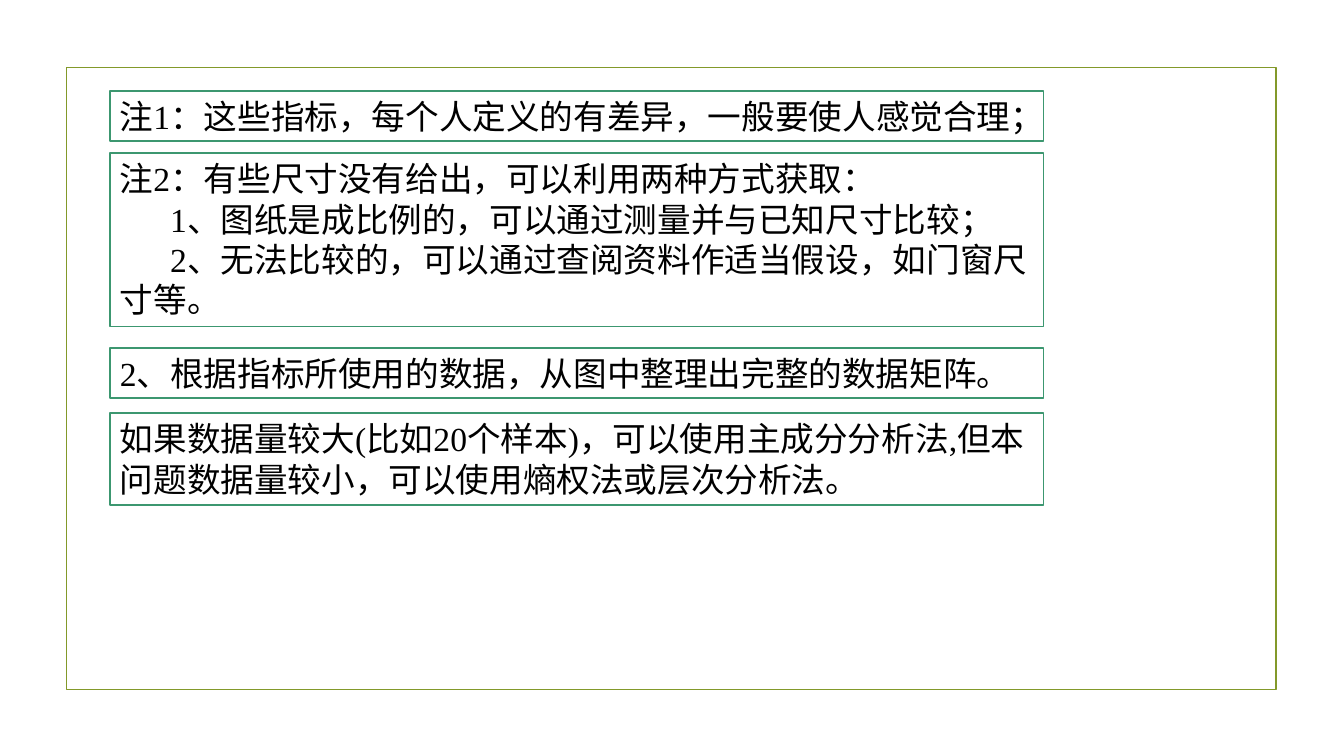
from pptx import Presentation
from pptx import util as u
from pptx.dml.color import RGBColor
from pptx.enum import shapes, text

OLIVE = RGBColor(0x83, 0x99, 0x2A)
GREEN = RGBColor(0x3C, 0x97, 0x70)
WHITE = RGBColor(0xFF, 0xFF, 0xFF)
BLACK = RGBColor(0x00, 0x00, 0x00)

PX = u.Inches(1) // 100
BLANK_LAYOUT = 6

NOTE_LEFT, NOTE_WIDTH = 109, 926
ITEM_INDENT = 50

# Top, height and (text, first-line indent) paragraphs of each note
NOTES = [
    (90, 50, [("注1：这些指标，每个人定义的有差异，一般要使人感觉合理；", 0)]),
    (152, 172, [
        ("注2：有些尺寸没有给出，可以利用两种方式获取：", 0),
        ("1、图纸是成比例的，可以通过测量并与已知尺寸比较；", ITEM_INDENT),
        ("2、无法比较的，可以通过查阅资料作适当假设，如门窗尺寸等。", ITEM_INDENT),
    ]),
    (345, 50, [("2、根据指标所使用的数据，从图中整理出完整的数据矩阵。", 0)]),
    (410, 91, [("如果数据量较大(比如20个样本)，可以使用主成分分析法,"
                "但本问题数据量较小，可以使用熵权法或层次分析法。", 0)]),
]


class SlideBuilder:
    font_name = "Times New Roman"
    font_size = u.Pt(24)
    line_width = u.Pt(1.25)

    def __init__(self, slide):
        self.slide = slide

    def outline(self, left, top, width, height, color):
        """Add an unfilled rectangle with a coloured border."""
        rect = self.slide.shapes.add_shape(
            shapes.MSO_SHAPE.RECTANGLE,
            *(PX * length for length in (left, top, width, height)))
        rect.shadow.inherit = False
        rect.fill.background()
        rect.line.color.rgb = color
        rect.line.width = self.line_width
        return rect

    def note(self, top, height, paragraphs):
        box = self.outline(NOTE_LEFT, top, NOTE_WIDTH, height, GREEN)
        box.fill.solid()
        box.fill.fore_color.rgb = WHITE
        frame = box.text_frame
        frame.word_wrap = True
        frame.vertical_anchor = text.MSO_ANCHOR.TOP
        frame.auto_size = text.MSO_AUTO_SIZE.SHAPE_TO_FIT_TEXT
        frame.text = "\n".join(words for words, _ in paragraphs)
        for paragraph, (_, indent) in zip(frame.paragraphs, paragraphs):
            paragraph.alignment = text.PP_ALIGN.LEFT
            if indent:
                paragraph._p.get_or_add_pPr().set("indent", str(PX * indent))
            paragraph.font.name = self.font_name
            paragraph.font.size = self.font_size
            paragraph.font.color.rgb = BLACK


def main():
    deck = Presentation()
    deck.slide_width, deck.slide_height = PX * 1333, PX * 750
    slide = deck.slides.add_slide(deck.slide_layouts[BLANK_LAYOUT])
    builder = SlideBuilder(slide)
    builder.outline(66, 67, 1200, 617, OLIVE)
    for top, height, paragraphs in NOTES:
        builder.note(top, height, paragraphs)
    deck.save("out.pptx")


if __name__ == "__main__":
    main()
